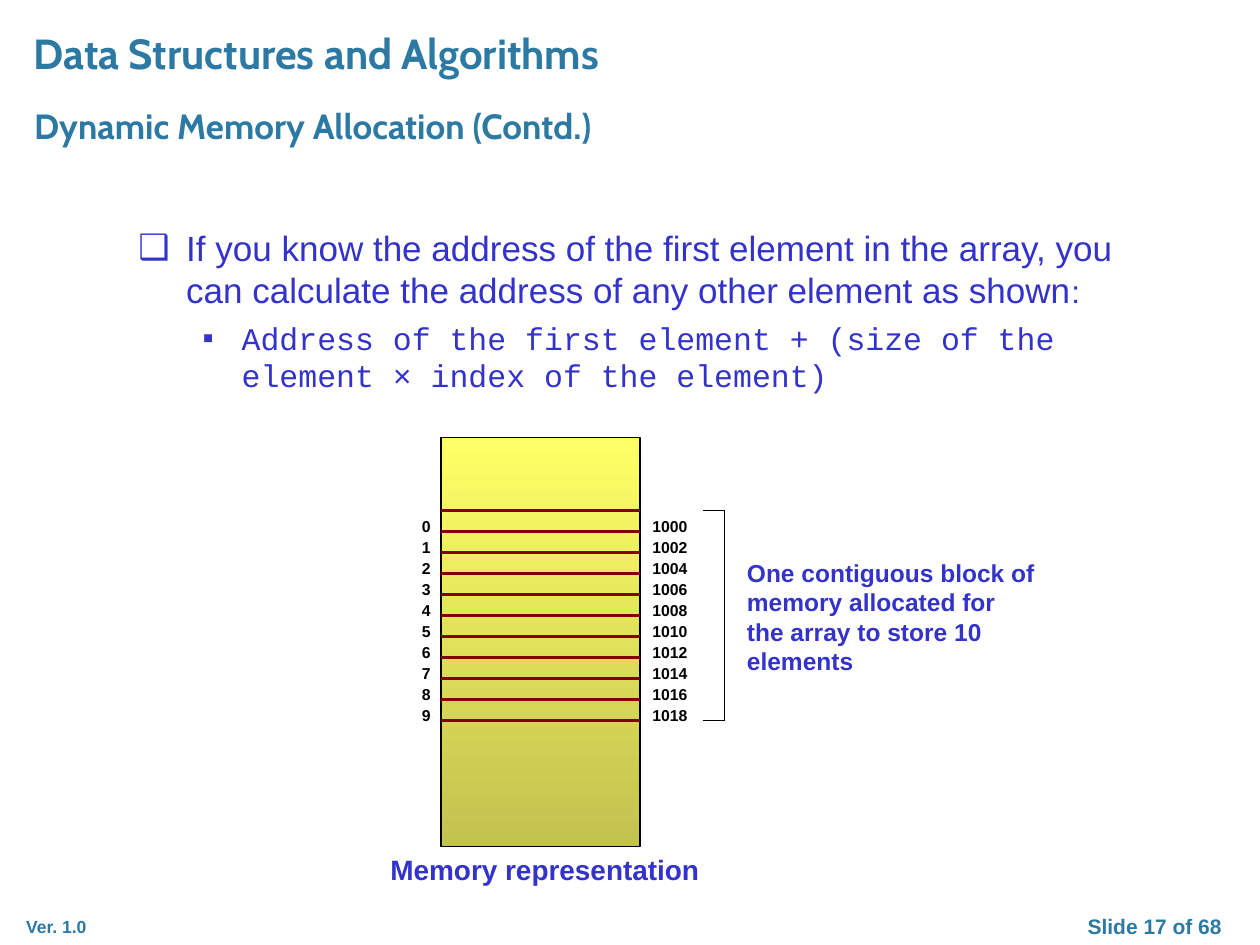
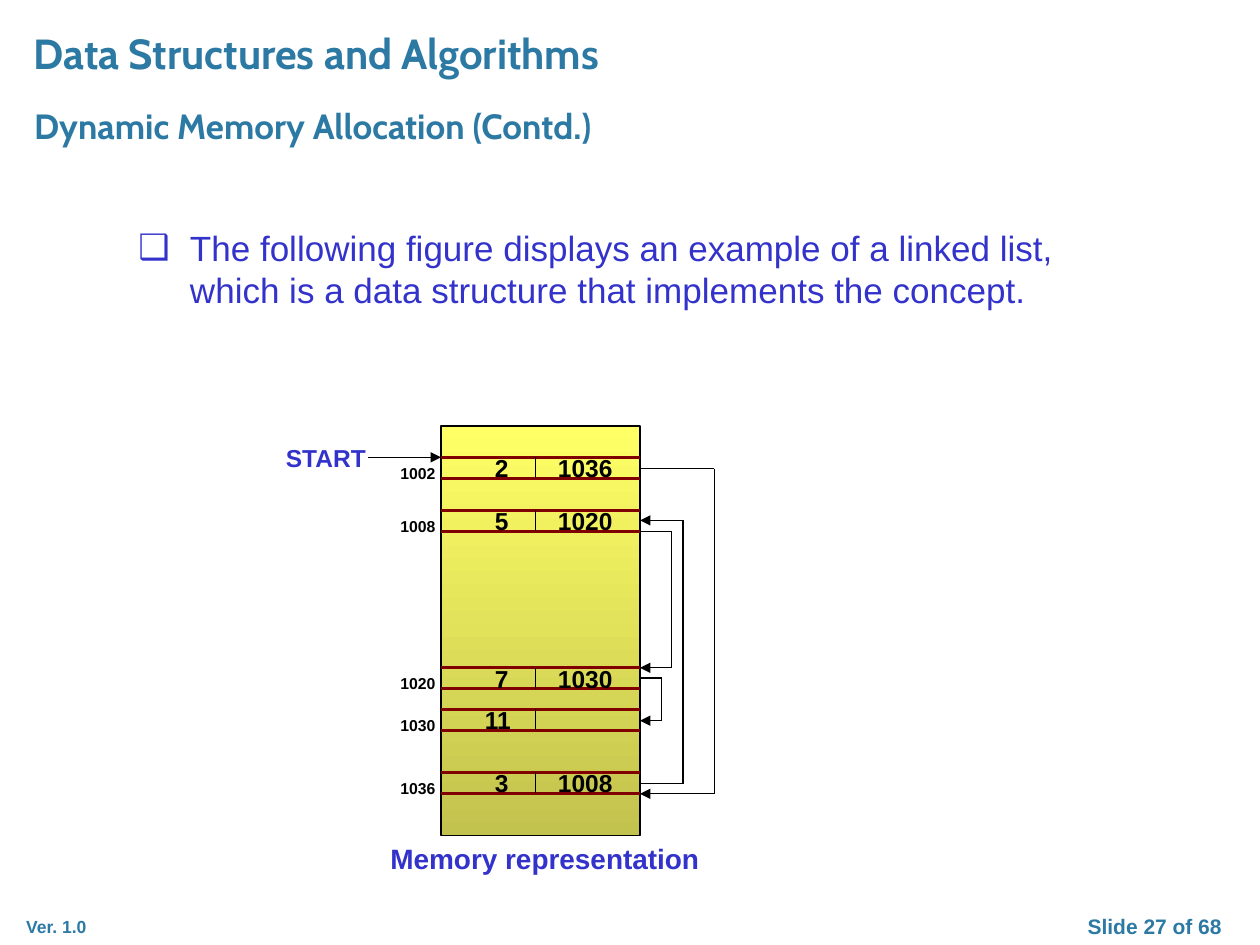
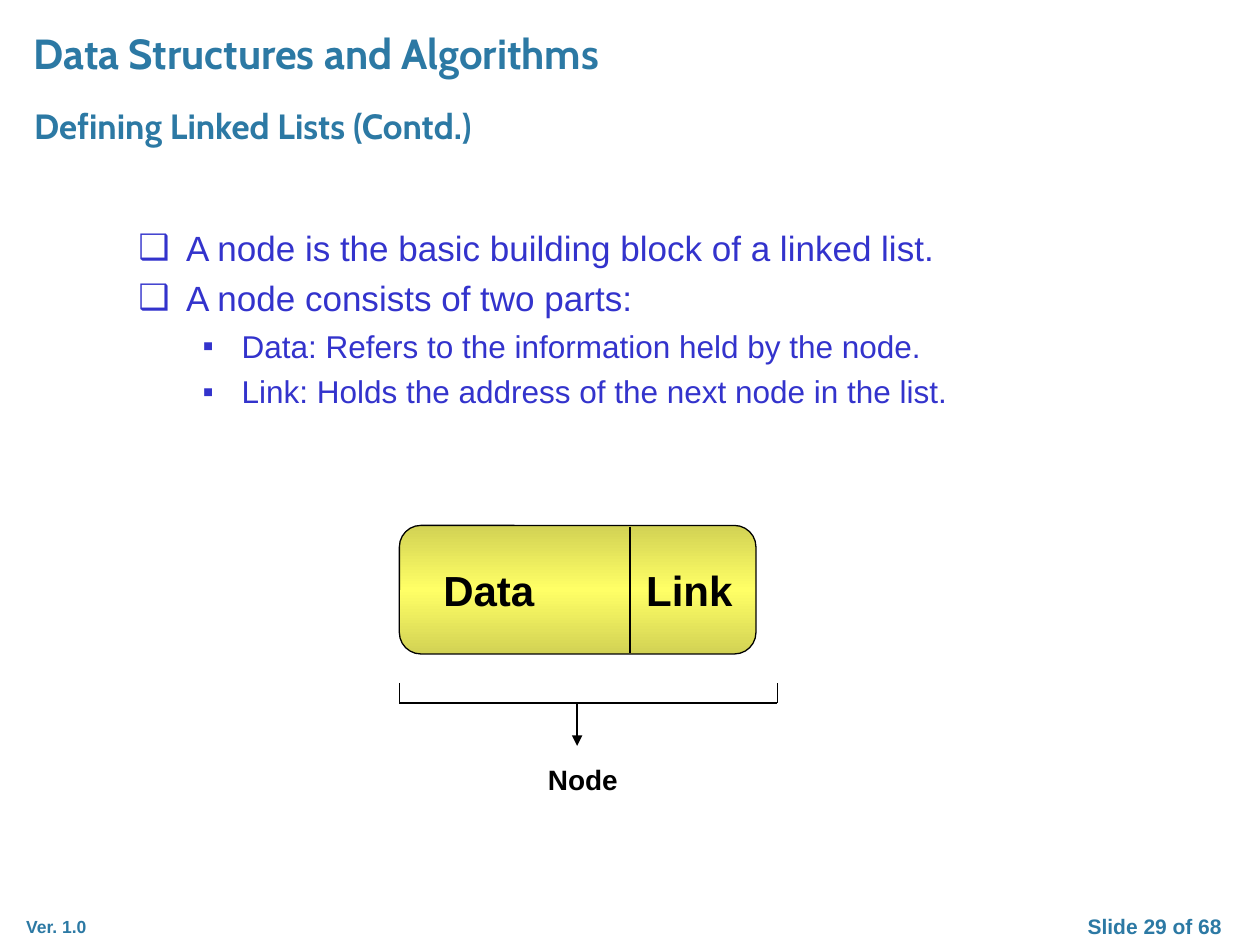
import dataclasses
import itertools
import typing

import lxml.etree
import pptx
import pptx.dml.color
import pptx.enum.shapes
import pptx.enum.text
import pptx.oxml.ns
import pptx.util

Inches = pptx.util.Inches
qn = pptx.oxml.ns.qn
Point = tuple[float, float]


@dataclasses.dataclass(frozen=True)
class Theme:
    heading: str = "2C79A4"
    body: str = "3333CC"
    ink: str = "000000"
    divider: str = "800000"
    memory_fill: tuple[str, ...] = ("FFFF66", "C2C24E")
    node_fill: tuple[str, ...] = ("D2D254", "FFFF66", "D2D254")
    heading_font: str = "Cabin"
    body_font: str = "Arial"
    code_font: str = "Courier New"
    course_size: float = 24
    topic_size: float = 20
    bullet_sizes: tuple[float, float] = (20, 18)
    node_size: float = 24
    caption_size: float = 16
    note_size: float = 14
    number_size: float = 12
    version_size: float = 10
    address_size: float = 9
    thin: float = 0.75
    thick: float = 1.5


THEME = Theme()

# Memory block geometry, in inches
MEMORY_LEFT, MEMORY_RIGHT, MEMORY_HEIGHT = 3.5, 5.08, 3.25
CELL_HEIGHT = 1 / 6
SPLIT_X = 4.25


@dataclasses.dataclass(frozen=True)
class Bullet:
    text: str
    level: int = 0
    font: str = THEME.body_font
    small_ending: str = ""
    hanging: float = 0.38


@dataclasses.dataclass(frozen=True)
class ListNode:
    address: str
    top: float
    value: str
    link: str = ""
    value_left: float = 3.83


@dataclasses.dataclass(frozen=True)
class LinkRoute:
    start_y: float
    turn_x: float
    end_y: float


# Text
def write(paragraph, text: str, *, size: float, color: str = THEME.ink,
          font: str = THEME.body_font, bold: bool = True) -> None:
    run = paragraph.add_run()
    run.text = text
    run.font.size = pptx.util.Pt(size)
    run.font.name = font
    run.font.bold = bold
    run.font.color.rgb = pptx.dml.color.RGBColor.from_string(color)


def add_frame(slide, left: float, top: float, width: float, height: float):
    frame = slide.shapes.add_textbox(
        Inches(left), Inches(top), Inches(width), Inches(height)).text_frame
    frame.word_wrap = True
    return frame


def add_label(slide, text: str, left: float, top: float, width: float, height: float,
              *, centered: bool = False, **style: typing.Any) -> None:
    paragraph = add_frame(slide, left, top, width, height).paragraphs[0]
    if centered:
        paragraph.alignment = pptx.enum.text.PP_ALIGN.CENTER
    write(paragraph, text, **style)


def add_bullets(slide, bullets: list[Bullet]) -> None:
    frame = add_frame(slide, 1, 1.75, 8, 1.59)
    for index, bullet in enumerate(bullets):
        paragraph = frame.add_paragraph() if index else frame.paragraphs[0]
        paragraph.level = bullet.level
        if index:
            paragraph.space_before = pptx.util.Pt(4.5)
        margin, hanging, mark = ((0.82, 0.31, "▪") if bullet.level
                                 else (bullet.hanging, bullet.hanging, "❑"))
        properties = paragraph._p.get_or_add_pPr()
        properties.set("marL", str(Inches(margin)))
        properties.set("indent", str(-Inches(hanging)))
        lxml.etree.SubElement(properties, qn("a:buFont")).set("typeface", THEME.body_font)
        lxml.etree.SubElement(properties, qn("a:buChar")).set("char", mark)
        write(paragraph, bullet.text, size=THEME.bullet_sizes[bullet.level],
              color=THEME.body, font=bullet.font, bold=False)
        if bullet.small_ending:
            write(paragraph, bullet.small_ending, size=THEME.bullet_sizes[1],
                  color=THEME.body, bold=False)


# Lines and shapes
def add_line(slide, start: Point, end: Point, *, color: str = THEME.ink,
             width: float = THEME.thin, arrow: bool = False) -> None:
    line = slide.shapes.add_connector(
        pptx.enum.shapes.MSO_CONNECTOR.STRAIGHT, *map(Inches, start + end))
    line.line.color.rgb = pptx.dml.color.RGBColor.from_string(color)
    line.line.width = pptx.util.Pt(width)
    properties = line._element.spPr
    if arrow:
        lxml.etree.SubElement(properties.find(qn("a:ln")), qn("a:tailEnd")).set("type", "triangle")
    lxml.etree.SubElement(properties, qn("a:effectLst"))


def add_route(slide, *points: Point, arrow: bool = False) -> None:
    """Join points by straight lines; an arrow ends the last one."""
    for start, end in itertools.pairwise(points):
        add_line(slide, start, end, arrow=arrow and end == points[-1])


def add_divider(slide, y: float) -> None:
    add_line(slide, (MEMORY_LEFT, y), (MEMORY_RIGHT, y),
             color=THEME.divider, width=THEME.thick)


def add_gradient_shape(slide, kind, left: float, top: float, width: float, height: float,
                       colors: tuple[str, ...]):
    shape = slide.shapes.add_shape(
        kind, Inches(left), Inches(top), Inches(width), Inches(height))
    shape.shadow.inherit = False
    shape.line.color.rgb = pptx.dml.color.RGBColor.from_string(THEME.ink)
    shape.line.width = pptx.util.Pt(THEME.thin)
    shape.fill.gradient()
    shape.fill.gradient_angle = 270
    stops = shape._element.spPr.find(qn("a:gradFill")).find(qn("a:gsLst"))
    for stop in list(stops):
        stops.remove(stop)
    for index, color in enumerate(colors):
        stop = lxml.etree.SubElement(stops, qn("a:gs"))
        stop.set("pos", str(100000 * index // (len(colors) - 1)))
        lxml.etree.SubElement(stop, qn("a:srgbClr")).set("val", color)
    return shape


def add_memory(slide, top: float) -> None:
    add_gradient_shape(slide, pptx.enum.shapes.MSO_SHAPE.RECTANGLE, MEMORY_LEFT, top,
                       MEMORY_RIGHT - MEMORY_LEFT, MEMORY_HEIGHT, THEME.memory_fill)
    add_label(slide, "Memory representation", 3, top + MEMORY_HEIGHT, 3.25, 0.37,
              size=THEME.caption_size, color=THEME.body)


# Shared slide frame
def add_slide(deck, topic: str, number: int):
    slide = deck.slides.add_slide(deck.slide_layouts.get_by_name("Title Only"))
    title = slide.shapes.title
    title.left, title.top = Inches(0.17), Inches(0.78)
    title.width, title.height = Inches(7.5), Inches(0.43)
    frame = title.text_frame
    frame.auto_size = pptx.enum.text.MSO_AUTO_SIZE.NONE
    frame.vertical_anchor = pptx.enum.text.MSO_ANCHOR.TOP
    frame.paragraphs[0].alignment = pptx.enum.text.PP_ALIGN.LEFT
    write(frame.paragraphs[0], topic, size=THEME.topic_size, color=THEME.heading,
          font=THEME.heading_font)
    add_label(slide, "Data Structures and Algorithms", 0.17, 0.17, 8.33, 0.5,
              size=THEME.course_size, color=THEME.heading, font=THEME.heading_font)
    add_label(slide, "Ver. 1.0", 0.11, 7.22, 0.79, 0.27,
              size=THEME.version_size, color=THEME.heading)
    add_label(slide, f"Slide {number} of 68", 8.33, 7.2, 1.67, 0.3, centered=True,
              size=THEME.number_size, color=THEME.heading)
    return slide


# Slides
def build_array_slide(deck) -> None:
    slide = add_slide(deck, "Dynamic Memory Allocation (Contd.)", 17)
    add_bullets(slide, [
        Bullet("If you know the address of the first element in the array, you can "
               "calculate the address of any other element as shown", small_ending=":"),
        Bullet("Address of the first element + (size of the element × index of the element)",
               level=1, font=THEME.code_font),
    ])
    add_memory(slide, 3.47)

    # Ten elements of two bytes each
    array_top, count = 4.05, 10
    array_bottom = array_top + count * CELL_HEIGHT
    for index in range(count):
        y = array_top + index * CELL_HEIGHT
        add_divider(slide, y)
        add_label(slide, str(index), 3.25, y, 0.33, 0.25, size=THEME.address_size)
        add_label(slide, str(1000 + 2 * index), MEMORY_RIGHT, y, 1.17, 0.25,
                  size=THEME.address_size)
    add_divider(slide, array_bottom)

    # Bracket and its note
    add_route(slide, (5.58, array_top), (5.75, array_top),
              (5.75, array_bottom), (5.58, array_bottom))
    add_label(slide, "One contiguous block of memory allocated for the array to store "
              "10 elements", 5.83, 4.38, 2.5, 1.04, size=THEME.note_size, color=THEME.body)


def build_linked_list_slide(deck) -> None:
    slide = add_slide(deck, "Dynamic Memory Allocation (Contd.)", 27)
    add_bullets(slide, [
        Bullet("The following figure displays an example of a linked list, which is a "
               "data structure that implements the concept.", hanging=0.41),
    ])
    add_memory(slide, 3.38)

    # Nodes in memory
    nodes = [
        ListNode("1002", 3.63, "2", "1036"),
        ListNode("1008", 4.05, "5", "1020"),
        ListNode("1020", 5.3, "7", "1030"),
        ListNode("1030", 5.63, "11", value_left=3.75),
        ListNode("1036", 6.13, "3", "1008"),
    ]
    for node in nodes:
        bottom = node.top + CELL_HEIGHT
        add_divider(slide, node.top)
        add_divider(slide, bottom)
        add_line(slide, (SPLIT_X, node.top), (SPLIT_X, bottom))
        add_label(slide, node.address, 3.08, node.top, 0.75, 0.25, size=THEME.address_size)
        add_label(slide, node.value, node.value_left, node.top - 0.08, 0.5, 0.33,
                  size=THEME.note_size)
        if node.link:
            add_label(slide, node.link, 4.33, node.top - 0.08, 0.92, 0.33,
                      size=THEME.note_size)

    # Start pointer and links between nodes
    add_label(slide, "START", 2.17, 3.47, 0.92, 0.33, size=THEME.note_size, color=THEME.body)
    add_line(slide, (2.92, 3.63), (MEMORY_LEFT, 3.63), arrow=True)
    routes = [
        LinkRoute(3.72, 5.67, 6.3),
        LinkRoute(6.22, 5.42, 4.13),
        LinkRoute(4.22, 5.33, 5.3),
        LinkRoute(5.38, 5.25, 5.72),
    ]
    for route in routes:
        add_route(slide, (MEMORY_RIGHT, route.start_y), (route.turn_x, route.start_y),
                  (route.turn_x, route.end_y), (MEMORY_RIGHT, route.end_y), arrow=True)


def build_node_slide(deck) -> None:
    slide = add_slide(deck, "Defining Linked Lists (Contd.)", 29)
    add_bullets(slide, [
        Bullet("A node is the basic building block of a linked list."),
        Bullet("A node consists of two parts:"),
        Bullet("Data: Refers to the information held by the node.", level=1),
        Bullet("Link: Holds the address of the next node in the list.", level=1),
    ])

    # Node with its two parts
    node = add_gradient_shape(slide, pptx.enum.shapes.MSO_SHAPE.ROUNDED_RECTANGLE,
                              3.17, 4.17, 2.83, 1.02, THEME.node_fill)
    node.adjustments[0] = 0.167
    add_line(slide, (5, 4.18), (5, 5.18))
    for part, left in (("Data", 3.42), ("Link", 5.03)):
        add_label(slide, part, left, 4.43, 0.93, 0.5, size=THEME.node_size)

    # Bracket and its label
    add_route(slide, (3.17, 5.42), (3.17, 5.58), (6.17, 5.58), (6.17, 5.42))
    add_line(slide, (4.58, 5.58), (4.58, 5.92), arrow=True)
    add_label(slide, "Node", 4.25, 6, 0.92, 0.37, size=THEME.caption_size)


def main() -> None:
    deck = pptx.Presentation()
    deck.slide_width, deck.slide_height = Inches(10), Inches(7.5)
    build_array_slide(deck)
    build_linked_list_slide(deck)
    build_node_slide(deck)
    deck.save("out.pptx")


if __name__ == "__main__":
    main()
